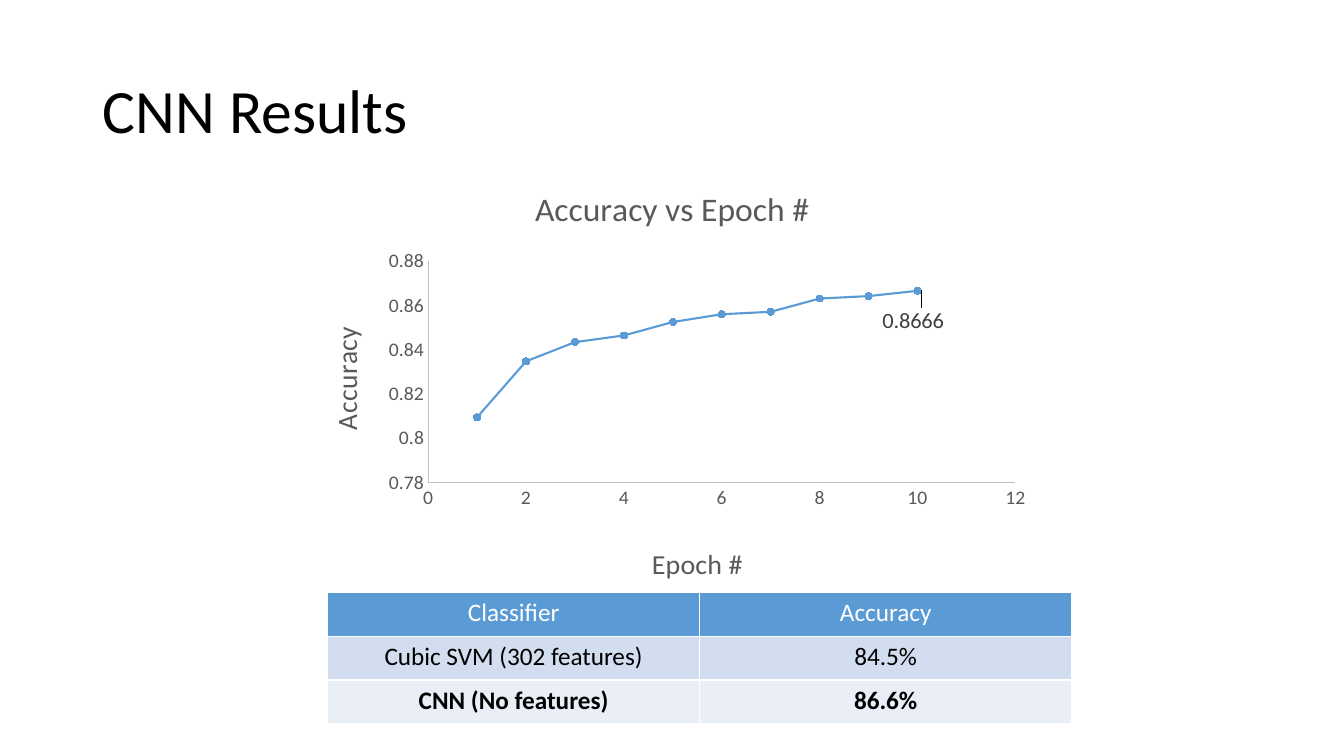
from dataclasses import dataclass

from lxml.etree import SubElement
from pptx import Presentation
from pptx.chart.data import XyChartData
from pptx.dml.color import RGBColor
from pptx.enum.chart import (XL_CHART_TYPE, XL_LABEL_POSITION,
                             XL_MARKER_STYLE, XL_TICK_MARK)
from pptx.enum.text import MSO_ANCHOR, PP_ALIGN
from pptx.oxml import parse_xml
from pptx.oxml.ns import nsdecls, qn
from pptx.util import Inches, Pt

FONT = "Calibri"
BLACK, WHITE, BLUE = "000000", "FFFFFF", "5B9BD5"
TEXT_GREY, LABEL_GREY, AXIS_GREY = "595959", "404040", "BFBFBF"

ACCURACIES = [0.8094, 0.8347, 0.8434, 0.8464, 0.8525,
              0.856, 0.8571, 0.8631, 0.8642, 0.8666]


@dataclass
class AxisStyle:
    """Scale and title of an axis; title places are percent of the chart."""
    title: str
    low: float
    high: float
    step: float
    title_left: float
    title_top: float


@dataclass
class TableRow:
    classifier: str
    accuracy: str
    fill: str
    color: str = BLACK
    bold: bool = False


EPOCH_AXIS = AxisStyle("Epoch #", 0, 12, 2, 46.5, 90)
ACCURACY_AXIS = AxisStyle("Accuracy", 0.78, 0.88, 0.02, 2.3, 38)

ROWS = [
    TableRow("Classifier", "Accuracy", BLUE, WHITE),
    TableRow("Cubic SVM (302 features)", "84.5%", "D2DEEF"),
    TableRow("CNN (No features)", "86.6%", "EAEFF7", bold=True),
]


def rgb(value: str) -> RGBColor:
    return RGBColor.from_string(value)


def style_font(font, size: float, color: str, bold: bool = False) -> None:
    font.name, font.size, font.bold = FONT, Pt(size), bold
    font.color.rgb = rgb(color)


def style_line(line, color: str, width: float) -> None:
    line.color.rgb = rgb(color)
    line.width = Pt(width)


def manual_layout(modes: dict[str, str], **percents: float):
    """Build a c:layout from percentages of the chart's size."""
    layout = parse_xml(f"<c:layout {nsdecls('c')}><c:manualLayout/></c:layout>")
    shares = {name: f"{value / 100:.3f}" for name, value in percents.items()}
    for name, value in (modes | shares).items():
        SubElement(layout[0], qn(f"c:{name}")).set("val", value)
    return layout


def set_chart_title(owner, text: str, size: float, left: float, top: float) -> None:
    """Title a chart or an axis and pin it at a percentage of the chart's size."""
    title = owner.chart_title if hasattr(owner, "chart_title") else owner.axis_title
    paragraph = title.text_frame.paragraphs[0]
    paragraph.text = text
    style_font(paragraph.font, size, TEXT_GREY)
    element = title._element
    for old in element.findall(qn("c:layout")):
        element.remove(old)
    element.find(qn("c:tx")).addnext(
        manual_layout({"xMode": "edge", "yMode": "edge"}, x=left, y=top))


def style_axis(axis, style: AxisStyle) -> None:
    axis.minimum_scale, axis.maximum_scale = style.low, style.high
    axis.major_unit = style.step
    axis.has_major_gridlines = False
    axis.major_tick_mark = axis.minor_tick_mark = XL_TICK_MARK.NONE
    axis.tick_labels.number_format = "General"
    axis.tick_labels.number_format_is_linked = False
    style_font(axis.tick_labels.font, 14, TEXT_GREY)
    style_line(axis.format.line, AXIS_GREY, 0.75)
    set_chart_title(axis, style.title, 20, style.title_left, style.title_top)


def label_last_point(series) -> None:
    """Show the final value below its point, joined by a leader line."""
    last = len(ACCURACIES) - 1
    label = series.points[last].data_label
    style_font(label.font, 16, LABEL_GREY)
    label.position = XL_LABEL_POSITION.RIGHT
    labels = series._element.find(qn("c:dLbls"))
    labels.find(qn("c:showVal")).set("val", "0")
    labels.find(qn("c:dLbl")).find(qn("c:idx")).addnext(
        manual_layout({}, x=-5.8, y=7.3))


def add_title(page) -> None:
    title = page.shapes.title
    title.left, title.top = Inches(0.92), Inches(0.4)
    title.width, title.height = Inches(11.5), Inches(1.45)
    title.text_frame.vertical_anchor = MSO_ANCHOR.MIDDLE
    paragraph = title.text_frame.paragraphs[0]
    paragraph.text = "CNN Results"
    paragraph.alignment = PP_ALIGN.LEFT
    paragraph.line_spacing = 0.9
    style_font(paragraph.font, 44, BLACK)


def add_accuracy_chart(page) -> None:
    data = XyChartData()
    points = data.add_series("Series 1")
    for epoch, accuracy in enumerate(ACCURACIES, start=1):
        points.add_data_point(epoch, accuracy)
    chart = page.shapes.add_chart(
        XL_CHART_TYPE.XY_SCATTER_LINES, Inches(3.02), Inches(1.65),
        Inches(7.3), Inches(4.2), data).chart
    style_font(chart.font, 10, BLACK)
    chart.has_legend = False
    set_chart_title(chart, "Accuracy vs Epoch #", 24, 30.5, 3.6)
    style_axis(chart.category_axis, EPOCH_AXIS)
    style_axis(chart.value_axis, ACCURACY_AXIS)

    plot = chart.plots[0]
    plot.vary_by_categories = False
    plot_area = plot._element.getparent()
    for old in plot_area.findall(qn("c:layout")):
        plot_area.remove(old)
    plot_area.insert(0, manual_layout(
        {"layoutTarget": "inner", "xMode": "edge", "yMode": "edge"},
        x=16.8, y=22.9, w=79.8, h=53.4))

    series = plot.series[0]
    series.smooth = False
    style_line(series.format.line, BLUE, 1.5)
    series.marker.style = XL_MARKER_STYLE.CIRCLE
    series.marker.size = 5
    series.marker.format.fill.solid()
    series.marker.format.fill.fore_color.rgb = rgb(BLUE)
    style_line(series.marker.format.line, BLUE, 0.75)
    label_last_point(series)


def add_results_table(page) -> None:
    table = page.shapes.add_table(
        len(ROWS), 2, Inches(3.25), Inches(5.88), Inches(7.38), Inches(1.3)).table
    for index, row in enumerate(ROWS):
        for cell, text in zip(table.rows[index].cells, (row.classifier, row.accuracy)):
            cell.fill.solid()
            cell.fill.fore_color.rgb = rgb(row.fill)
            paragraph = cell.text_frame.paragraphs[0]
            paragraph.text = text
            paragraph.alignment = PP_ALIGN.CENTER
            style_font(paragraph.font, 18, row.color, row.bold)


def main() -> None:
    deck = Presentation()
    deck.slide_width, deck.slide_height = Inches(13.33), Inches(7.5)
    page = deck.slides.add_slide(deck.slide_layouts[5])
    add_title(page)
    add_accuracy_chart(page)
    add_results_table(page)
    deck.save("out.pptx")


if __name__ == "__main__":
    main()
